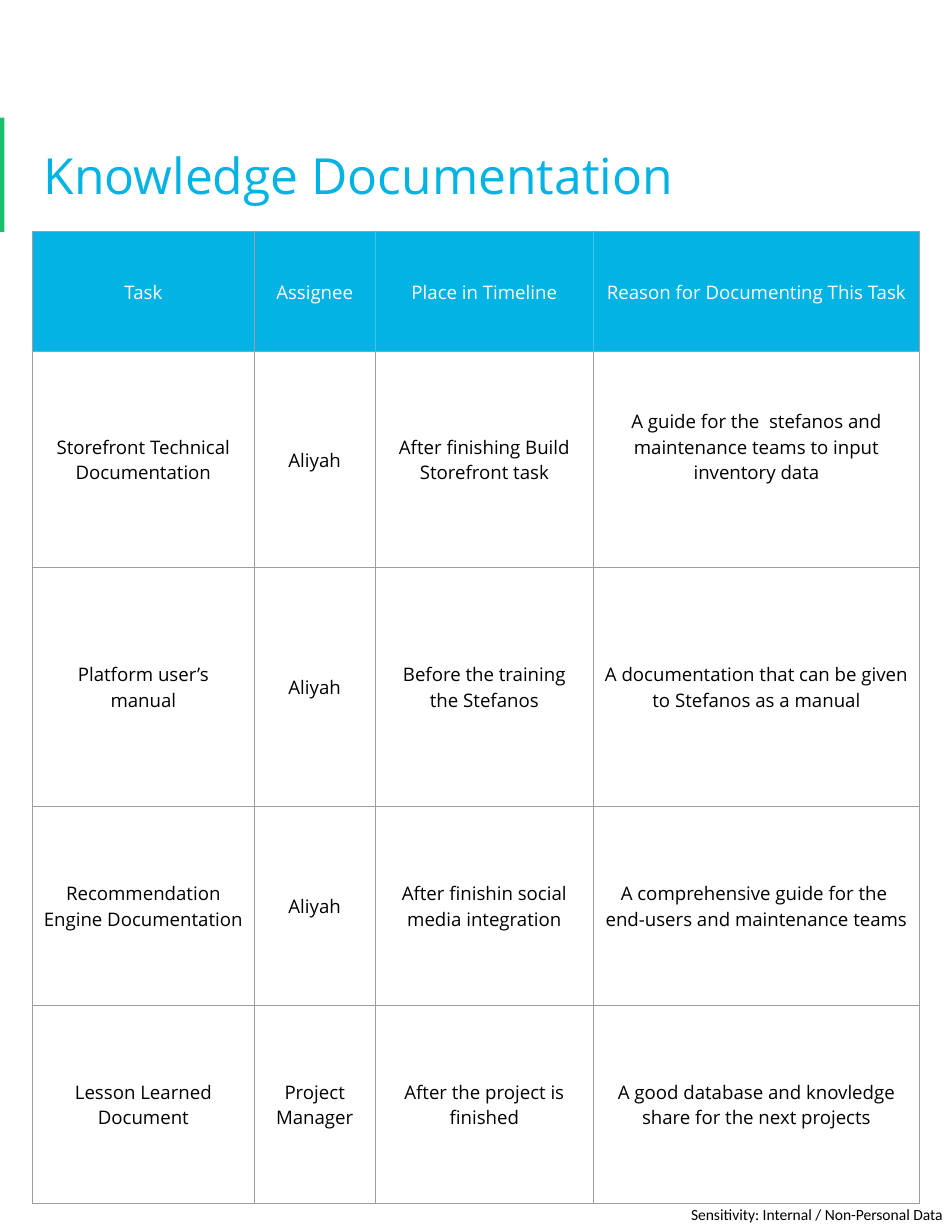
from lxml import etree
from pptx import Presentation
from pptx.dml.color import RGBColor
from pptx.enum.shapes import MSO_SHAPE
from pptx.enum.text import MSO_ANCHOR, PP_ALIGN
from pptx.oxml.ns import qn
from pptx.util import Inches, Pt

RECTANGLE = MSO_SHAPE.RECTANGLE
TOP, MIDDLE = MSO_ANCHOR.TOP, MSO_ANCHOR.MIDDLE
LEFT, CENTER = PP_ALIGN.LEFT, PP_ALIGN.CENTER

# Content
TITLE = "Knowledge Documentation"
SENSITIVITY = "Sensitivity: Internal / Non-Personal Data"
ROWS = [
    ("Task", "Assignee", "Place in Timeline", "Reason for Documenting This Task"),
    ("Storefront Technical Documentation", "Aliyah",
     "After finishing Build Storefront task",
     "A guide for the  stefanos and maintenance teams to input inventory data"),
    ("Platform user’s manual", "Aliyah", "Before the training the Stefanos",
     "A documentation that can be given to Stefanos as a manual"),
    ("Recommendation Engine Documentation", "Aliyah",
     "After finishin social media integration",
     "A comprehensive guide for the  end-users and maintenance teams"),
    ("Lesson Learned Document", "Project Manager", "After the project is finished",
     "A good database and knovledge share for the next projects"),
]
COLUMN_WIDTHS = [1.98, 1.08, 1.95, 2.91]
ROW_HEIGHTS = [1.07, 1.93, 2.13, 1.78, 1.77]
TABLE_LEFT, TABLE_TOP = 0.29, 2.07
MARGIN = 0.1
EXTRA_BOTTOM = {(1, 3): 0.23}  # this cell's text sits half a line higher

THEME = {
    "font": "Open Sans", "label_font": "Calibri",
    "title_size": 32, "table_size": 12, "label_size": 10,
    "blue": "02B3E4", "green": "15C26B", "white": "FFFFFF", "black": "000000",
    "border": "9E9E9E", "header_border": "3CC4EA", "border_width": 0.75,
}


def color(name):
    return RGBColor.from_string(THEME[name])


def write(frame, text, size, ink, font="font", align=LEFT):
    frame.text = text
    para = frame.paragraphs[0]
    para.alignment = align
    for span in para.runs:
        span.font.name = THEME[font]
        span.font.size = Pt(THEME[size])
        span.font.color.rgb = color(ink)


def add_text(page, place, text, margin, anchor, wrap, **style):
    frame = page.shapes.add_textbox(*map(Inches, place)).text_frame
    frame.margin_left = frame.margin_right = Inches(margin)
    frame.margin_top = frame.margin_bottom = Inches(margin)
    frame.vertical_anchor = anchor
    frame.word_wrap = wrap
    write(frame, text, **style)


def set_borders(cell, inks):
    """Put the four side lines before the fill, as the schema asks."""
    properties = cell._tc.get_or_add_tcPr()
    for index, (side, ink) in enumerate(inks.items()):
        line = etree.Element(qn(f"a:{side}"), w=str(Pt(THEME["border_width"])))
        fill = etree.SubElement(line, qn("a:solidFill"))
        etree.SubElement(fill, qn("a:srgbClr"), val=THEME[ink])
        properties.insert(index, line)


def add_table(page):
    frame = page.shapes.add_table(
        len(ROWS), len(COLUMN_WIDTHS), Inches(TABLE_LEFT), Inches(TABLE_TOP),
        Inches(sum(COLUMN_WIDTHS)), Inches(sum(ROW_HEIGHTS)))
    table = frame.table
    for column, width in zip(table.columns, COLUMN_WIDTHS):
        column.width = Inches(width)
    for row, height in zip(table.rows, ROW_HEIGHTS):
        row.height = Inches(height)

    last = len(COLUMN_WIDTHS) - 1
    for r, texts in enumerate(ROWS):
        header = r == 0
        for c, text in enumerate(texts):
            cell = table.cell(r, c)
            cell.margin_left = cell.margin_right = cell.margin_top = Inches(MARGIN)
            cell.margin_bottom = Inches(MARGIN + EXTRA_BOTTOM.get((r, c), 0))
            cell.vertical_anchor = MIDDLE
            cell.fill.solid()
            cell.fill.fore_color.rgb = color("blue" if header else "white")
            write(cell.text_frame, text, "table_size",
                  "white" if header else "black", align=CENTER)
            set_borders(cell, {
                "lnL": "header_border" if header and c > 1 else "border",
                "lnR": "header_border" if header and 0 < c < last else "border",
                "lnT": "border", "lnB": "border"})


def main():
    deck = Presentation()
    deck.slide_width, deck.slide_height = Inches(8.5), Inches(11)
    page = deck.slides.add_slide(deck.slide_layouts[6])

    # Accent bar at the page edge
    bar = page.shapes.add_shape(RECTANGLE, *map(Inches, (0, 1.05, 0.04, 1.02)))
    bar.shadow.inherit = False
    bar.fill.solid()
    bar.fill.fore_color.rgb = color("green")
    bar.line.fill.background()

    # Sensitivity label, title and table
    add_text(page, (6.17, 10.76, 2.29, 0.17), SENSITIVITY, 0, TOP, False,
             size="label_size", ink="black", font="label_font")
    add_text(page, (TABLE_LEFT, 0.95, sum(COLUMN_WIDTHS), 1.22), TITLE,
             MARGIN, MIDDLE, True, size="title_size", ink="blue")
    add_table(page)

    deck.save("out.pptx")


if __name__ == "__main__":
    main()
